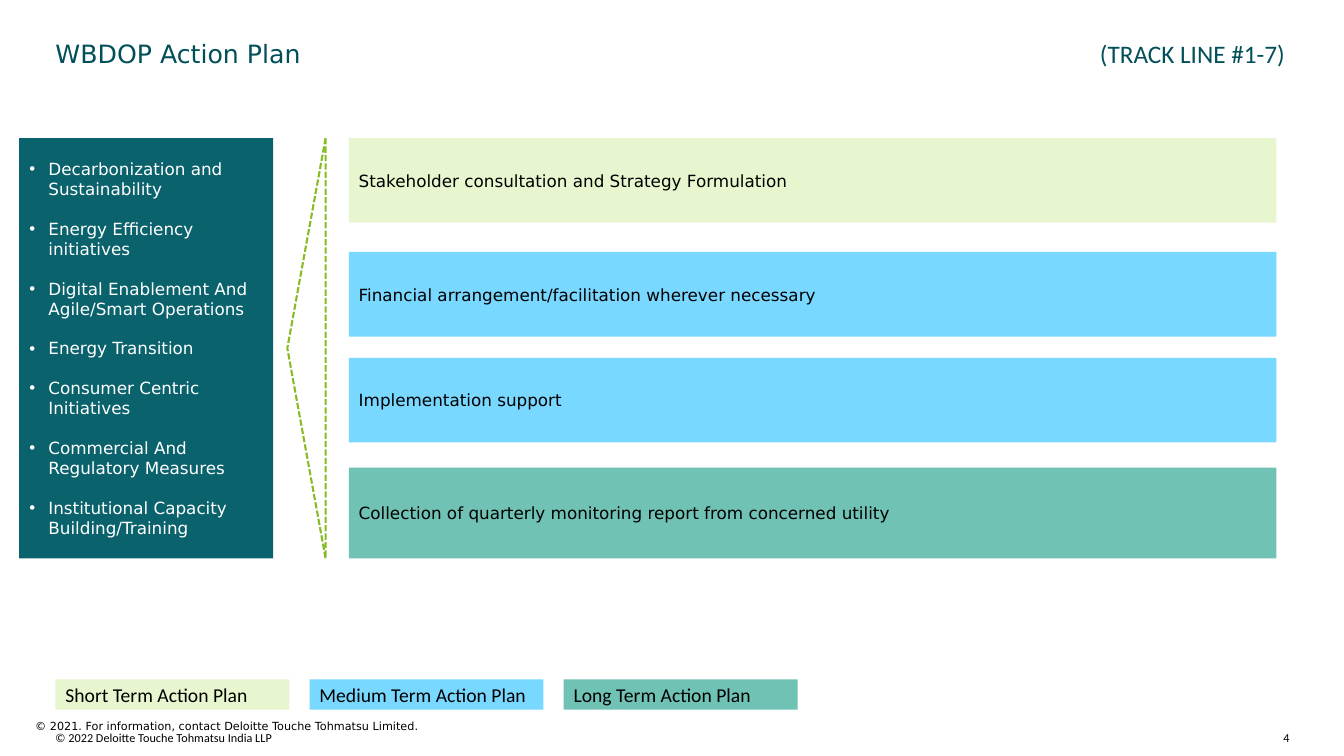
import dataclasses

import pptx
import pptx.dml.color
import pptx.enum.dml
import pptx.enum.shapes
import pptx.enum.text
import pptx.util

Inches = pptx.util.Inches
Pt = pptx.util.Pt
ALIGN = pptx.enum.text.PP_ALIGN
ANCHOR = pptx.enum.text.MSO_ANCHOR
SHAPE = pptx.enum.shapes.MSO_SHAPE


@dataclasses.dataclass(frozen=True)
class Theme:
    """Colours, fonts and type sizes of the slide."""
    heading: str = "004F59"
    panel: str = "0A626C"
    accent: str = "86BC25"
    short_term: str = "E8F6CF"
    medium_term: str = "79D8FF"
    long_term: str = "6FC2B4"
    dark: str = "000000"
    light: str = "FFFFFF"
    main_font: str = "DejaVu Sans"
    side_font: str = "Calibri"
    heading_size: float = 18
    legend_size: float = 14
    body_size: float = 12
    footer_size: float = 8.7
    contact_size: float = 8


class ActionPlanSlide:
    """Draws themed elements on one slide."""

    def __init__(self, slide, theme):
        """Keep the slide and its theme."""
        self.slide = slide
        self.theme = theme

    def place(self, element, left, top, width, height):
        """Move and size an element, in inches."""
        element.left, element.top = Inches(left), Inches(top)
        element.width, element.height = Inches(width), Inches(height)

    def paint(self, element, color):
        """Fill an element with a solid colour."""
        element.fill.solid()
        element.fill.fore_color.rgb = pptx.dml.color.RGBColor.from_string(color)

    def frame(self, element, anchor, insets):
        """Set wrapping, anchor and insets (left, top, right, bottom)."""
        frame = element.text_frame
        frame.word_wrap = True
        frame.auto_size = pptx.enum.text.MSO_AUTO_SIZE.NONE
        frame.vertical_anchor = anchor
        (frame.margin_left, frame.margin_top,
         frame.margin_right, frame.margin_bottom) = map(Inches, insets)
        return frame

    def style(self, paragraph, font, size, color, align=ALIGN.LEFT):
        """Format a paragraph and its runs."""
        paragraph.alignment = align
        paragraph.space_before = Pt(0)
        for run in paragraph.runs:
            run.font.name = font
            run.font.size = Pt(size)
            run.font.color.rgb = pptx.dml.color.RGBColor.from_string(color)

    def title(self, text, box):
        """Fill the title placeholder."""
        heading = self.slide.shapes.title
        self.place(heading, *box)
        frame = self.frame(heading, ANCHOR.TOP, (0, 0, 0, 0))
        frame.text = text
        self.style(frame.paragraphs[0], self.theme.main_font,
                   self.theme.heading_size, self.theme.heading)

    def focus_list(self, items, box):
        """Fill the body placeholder with a bulleted list on a panel."""
        panel = self.slide.placeholders[1]
        self.place(panel, *box)
        self.paint(panel, self.theme.panel)
        frame = self.frame(panel, ANCHOR.MIDDLE, (0.1, 0.1, 0.01, 0.1))
        frame.text = "\n".join(items)
        for index, paragraph in enumerate(frame.paragraphs):
            properties = paragraph._p.get_or_add_pPr()
            properties.set("marL", str(Inches(0.19)))
            properties.set("indent", str(Inches(-0.19)))
            self.style(paragraph, self.theme.main_font, self.theme.body_size,
                       self.theme.light)
            paragraph.space_before = Pt(14 if index else 0)

    def label(self, text, box, font, size, color, align=ALIGN.LEFT,
              insets=(0, 0, 0, 0)):
        """Add a plain line of text."""
        caption = self.slide.shapes.add_textbox(*map(Inches, box))
        frame = self.frame(caption, ANCHOR.TOP, insets)
        frame.text = text
        self.style(frame.paragraphs[0], font, size, color, align)

    def bar(self, text, box, color, font, size):
        """Add a filled bar with text."""
        bar = self.slide.shapes.add_shape(SHAPE.RECTANGLE, *map(Inches, box))
        bar.shadow.inherit = False
        self.paint(bar, color)
        bar.line.fill.background()
        frame = self.frame(bar, ANCHOR.MIDDLE, (0.1, 0.1, 0.1, 0.1))
        frame.text = text
        self.style(frame.paragraphs[0], font, size, self.theme.dark, ALIGN.JUSTIFY)

    def bracket(self, box):
        """Add the dashed pointer that faces the list."""
        pointer = self.slide.shapes.add_shape(SHAPE.PENTAGON, *map(Inches, box))
        pointer.adjustments[0] = 1
        pointer.shadow.inherit = False
        pointer.fill.background()
        pointer.line.color.rgb = pptx.dml.color.RGBColor.from_string(self.theme.accent)
        pointer.line.width = Pt(1.5)
        pointer.line.dash_style = pptx.enum.dml.MSO_LINE.SQUARE_DOT
        pointer._element.spPr.xfrm.set("flipH", "1")


def main():
    """Build and save the action plan slide."""
    theme = Theme()
    deck = pptx.Presentation()
    deck.slide_width, deck.slide_height = Inches(13.33), Inches(7.5)
    plan = ActionPlanSlide(deck.slides.add_slide(deck.slide_layouts[1]), theme)

    plan.title("WBDOP Action Plan", (0.55, 0.38, 10.2, 0.37))
    plan.label("(TRACK LINE #1-7)", (10.91, 0.38, 2.12, 0.33),
               theme.side_font, theme.heading_size, theme.heading)

    plan.focus_list([
        "Decarbonization and Sustainability",
        "Energy Efficiency initiatives",
        "Digital Enablement And Agile/Smart Operations",
        "Energy Transition",
        "Consumer Centric Initiatives",
        "Commercial And Regulatory Measures",
        "Institutional Capacity Building/Training",
    ], (0.19, 1.37, 2.52, 4.17))
    plan.bracket((2.85, 1.37, 0.38, 4.17))

    actions = [
        ("Stakeholder consultation and Strategy Formulation",
         1.37, 0.84, theme.short_term),
        ("Financial arrangement/facilitation wherever necessary",
         2.5, 0.84, theme.medium_term),
        ("Implementation support", 3.55, 0.84, theme.medium_term),
        ("Collection of quarterly monitoring report from concerned utility",
         4.64, 0.9, theme.long_term),
    ]
    for action, top, height, color in actions:
        plan.bar(action, (3.46, top, 9.2, height), color,
                 theme.main_font, theme.body_size)

    terms = [("Short", theme.short_term), ("Medium", theme.medium_term),
             ("Long", theme.long_term)]
    for index, (term, color) in enumerate(terms):
        plan.bar(f"{term} Term Action Plan", (0.55 + 2.52 * index, 6.74, 2.32, 0.3),
                 color, theme.side_font, theme.legend_size)

    plan.label("© 2021. For information, contact Deloitte Touche Tohmatsu Limited.",
               (0.25, 7.09, 5, 0.24), theme.main_font, theme.contact_size,
               theme.dark, insets=(0.1, 0.05, 0.1, 0.05))
    plan.label("© 2022 Deloitte Touche Tohmatsu India LLP", (0.55, 7.25, 5.86, 0.22),
               theme.side_font, theme.footer_size, theme.dark)
    plan.label("4", (12.45, 7.25, 0.34, 0.11), theme.side_font, theme.footer_size,
               theme.dark, ALIGN.RIGHT)

    deck.save("out.pptx")


if __name__ == "__main__":
    main()
